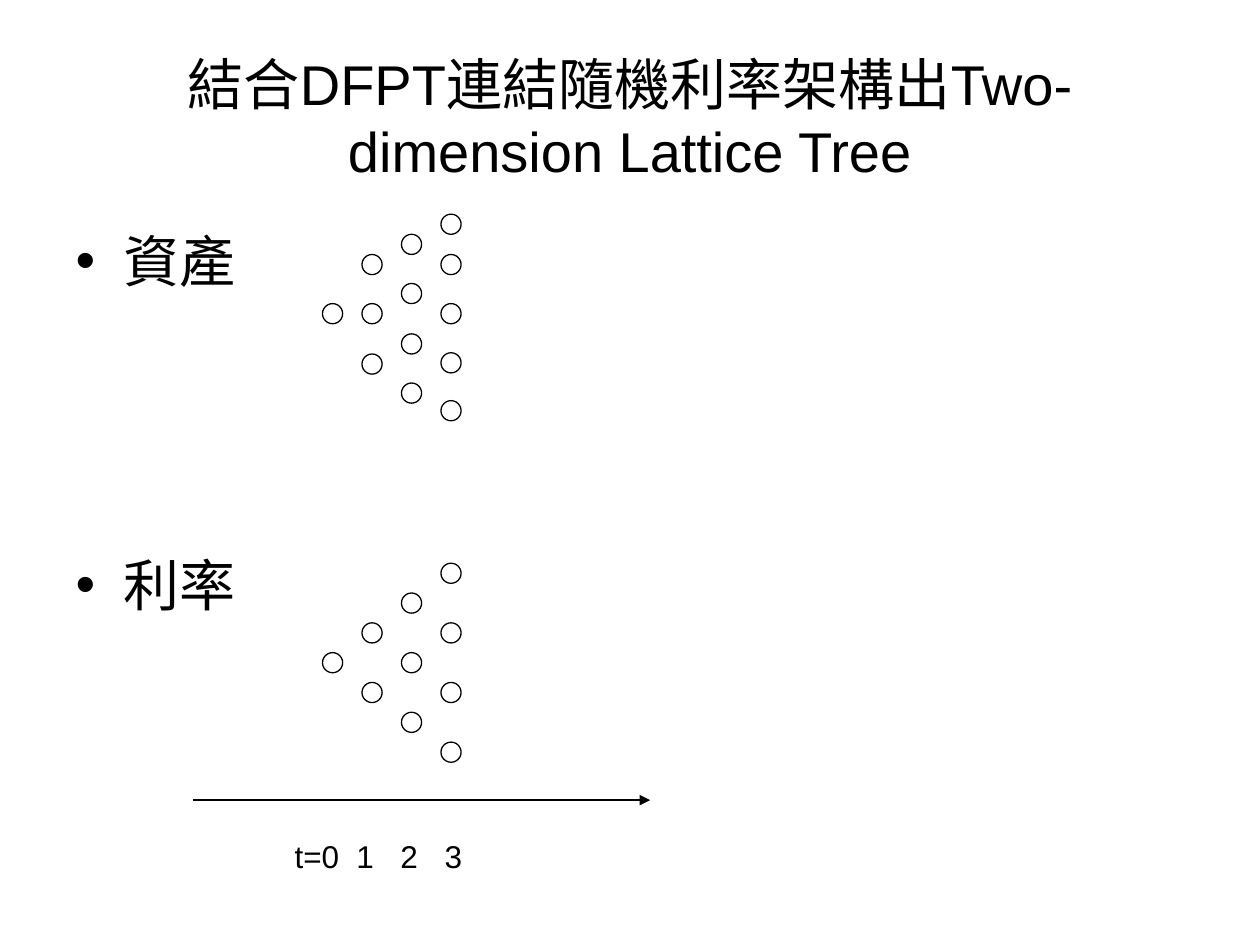
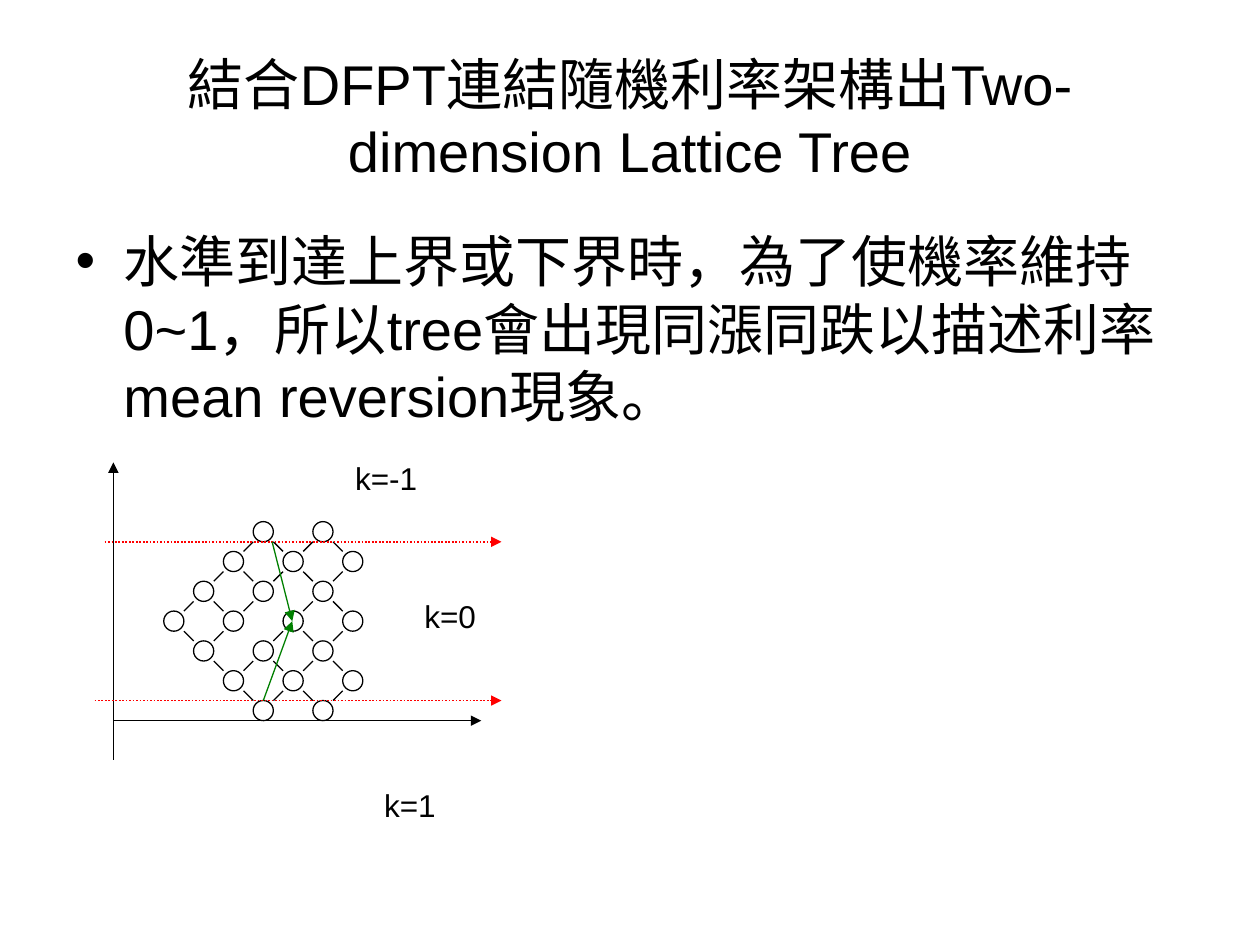
from pptx import Presentation
from pptx.dml.color import RGBColor
from pptx.enum import dml, shapes, text
from pptx.oxml import ns
from pptx.util import Inches, Pt
from lxml import etree

BLACK = RGBColor(0, 0, 0)
WHITE = RGBColor(255, 255, 255)
RED = RGBColor(255, 0, 0)
GREEN = RGBColor(0, 128, 0)
FONT = "Arial"
TITLE = "結合DFPT連結隨機利率架構出Two-dimension Lattice Tree"
NODE = 0.16
STEP = 0.71 / 3
TIME_STEP = 0.94 / 3
ASSET_LEVELS = [
    [2.41],
    [2.02, 2.41, 2.81],
    [1.86, 2.25, 2.65, 3.04],
    [1.7, 2.02, 2.41, 2.8, 3.18],
]
OPEN_BRANCHES = {(2, 0, 1), (3, -1, 1)}


def add_child(parent, tag, **attrs):
    """Append a DrawingML element with the given attributes."""
    return etree.SubElement(parent, ns.qn(tag), {k: str(v) for k, v in attrs.items()})


def write(p, content, size=32, align=text.PP_ALIGN.LEFT, before=0):
    """Fill a paragraph with formatted text."""
    p.alignment = align
    p.space_before = Pt(before)
    r = p.add_run()
    r.text = content
    r.font.name = FONT
    r.font.size = Pt(size)
    r.font.color.rgb = BLACK


def place(sp, left, top, width, height):
    """Set the position and size of a shape."""
    sp.left, sp.top = Inches(left), Inches(top)
    sp.width, sp.height = Inches(width), Inches(height)


def add_slide(prs, bullets, gap=0):
    """Add a slide with the shared title and a bullet list."""
    s = prs.slides.add_slide(prs.slide_layouts[1])
    title, body = s.shapes.title, s.placeholders[1]
    place(title, 0.5, 0.3, 9, 1.25)
    place(body, 0.5, 1.75, 9, 4.95)
    for sp, anchor in ((title, text.MSO_ANCHOR.MIDDLE), (body, text.MSO_ANCHOR.TOP)):
        sp.text_frame.auto_size = text.MSO_AUTO_SIZE.NONE
        sp.text_frame.vertical_anchor = anchor
    write(title.text_frame.paragraphs[0], TITLE, align=text.PP_ALIGN.CENTER)
    tf = body.text_frame
    for i, bullet in enumerate(bullets):
        p = tf.add_paragraph() if i else tf.paragraphs[0]
        pPr = p._p.get_or_add_pPr()
        pPr.set("marL", str(Inches(0.38)))
        pPr.set("indent", str(-Inches(0.38)))
        add_child(pPr, "a:buFont", typeface=FONT)
        add_child(pPr, "a:buChar", char="•")
        write(p, bullet, before=gap if i else 0)
    return s


def add_node(s, left, top):
    """Add one round tree node."""
    sp = s.shapes.add_shape(shapes.MSO_SHAPE.OVAL, Inches(left), Inches(top),
                            Inches(NODE), Inches(NODE))
    sp.shadow.inherit = False
    sp.fill.solid()
    sp.fill.fore_color.rgb = WHITE
    sp.line.color.rgb = BLACK
    sp.line.width = Pt(0.75)


def add_line(s, x1, y1, x2, y2, color=BLACK, width=0.75, dash=None, arrow=True):
    """Add a straight line, with an arrowhead at its end if wanted."""
    c = s.shapes.add_connector(shapes.MSO_CONNECTOR.STRAIGHT, Inches(x1), Inches(y1),
                               Inches(x2), Inches(y2))
    c.line.color.rgb = color
    c.line.width = Pt(width)
    if dash:
        c.line.dash_style = dash
    if arrow:
        add_child(c.line._get_or_add_ln(), "a:tailEnd", type="triangle")
    add_child(c._element.spPr, "a:effectLst")


def add_label(s, content, left, top, width, tabs=()):
    """Add a one-line label with optional tab stops."""
    sp = s.shapes.add_textbox(Inches(left), Inches(top), Inches(width), Inches(0.4))
    tf = sp.text_frame
    tf.word_wrap = True
    p = tf.paragraphs[0]
    if tabs:
        stops = add_child(p._p.get_or_add_pPr(), "a:tabLst")
        for pos in tabs:
            add_child(stops, "a:tab", pos=Inches(pos), algn="l")
    write(p, content, size=18)


def add_mean_reversion_tree(s, left, middle, last=6, bound=3):
    """Draw a bounded tree whose nodes are joined by branches."""
    nodes = [(i, j) for i in range(last + 1)
             for j in range(-min(i, bound), min(i, bound) + 1) if (i + j) % 2 == 0]
    for i, j in nodes:
        add_node(s, left + i * STEP, middle + j * STEP)
    for i, j in nodes:
        for turn in (-1, 1):
            if (i + 1, j + turn) not in nodes or (i, j, turn) in OPEN_BRANCHES:
                continue
            x = left + i * STEP + NODE
            y = middle + j * STEP + (NODE if turn > 0 else 0)
            run = STEP - NODE
            add_line(s, x, y, x + run, y + turn * run, arrow=False)


def build_two_trees(prs):
    """Show the asset tree and the rate tree over time."""
    s = add_slide(prs, ["資產", "利率"], gap=146.5)
    for t, levels in enumerate(ASSET_LEVELS):
        left = 2.56 + t * TIME_STEP
        for top in levels:
            add_node(s, left, top)
        for j in range(-t, t + 1, 2):
            add_node(s, left, 5.18 + j * STEP)
    add_line(s, 1.53, 6.35, 5.16, 6.35)
    add_label(s, "t=0\t1\t2\t3", 2.24, 6.59, 2.76, tabs=(0.49, 0.84, 1.19))


def build_mean_reversion(prs):
    """Show how the rate tree turns back at its bounds."""
    s = add_slide(prs, ["水準到達上界或下界時，為了使機率維持0~1，所以tree會出現"
                        "同漲同跌以描述利率mean reversion現象。"])
    add_line(s, 0.9, 5.72, 3.82, 5.72)
    add_line(s, 0.9, 6.03, 0.9, 3.67)
    add_mean_reversion_tree(s, 1.3, 4.85)
    for start, y in ((0.83, 4.3), (0.75, 5.56)):
        add_line(s, start, y, 3.98, y, RED, 1, dml.MSO_LINE.ROUND_DOT)
    for x, y in ((2.16, 4.3), (2.09, 5.56)):
        add_line(s, x, y, 2.32, 4.93, GREEN)
    add_label(s, "k=-1", 2.72, 3.59, 1.1)
    add_label(s, "k=0", 3.27, 4.69, 0.87)
    add_label(s, "k=1", 2.95, 6.19, 0.94)


def main():
    """Build and save the presentation."""
    prs = Presentation()
    prs.slide_width, prs.slide_height = Inches(10), Inches(7.5)
    build_two_trees(prs)
    build_mean_reversion(prs)
    prs.save("out.pptx")


if __name__ == "__main__":
    main()
